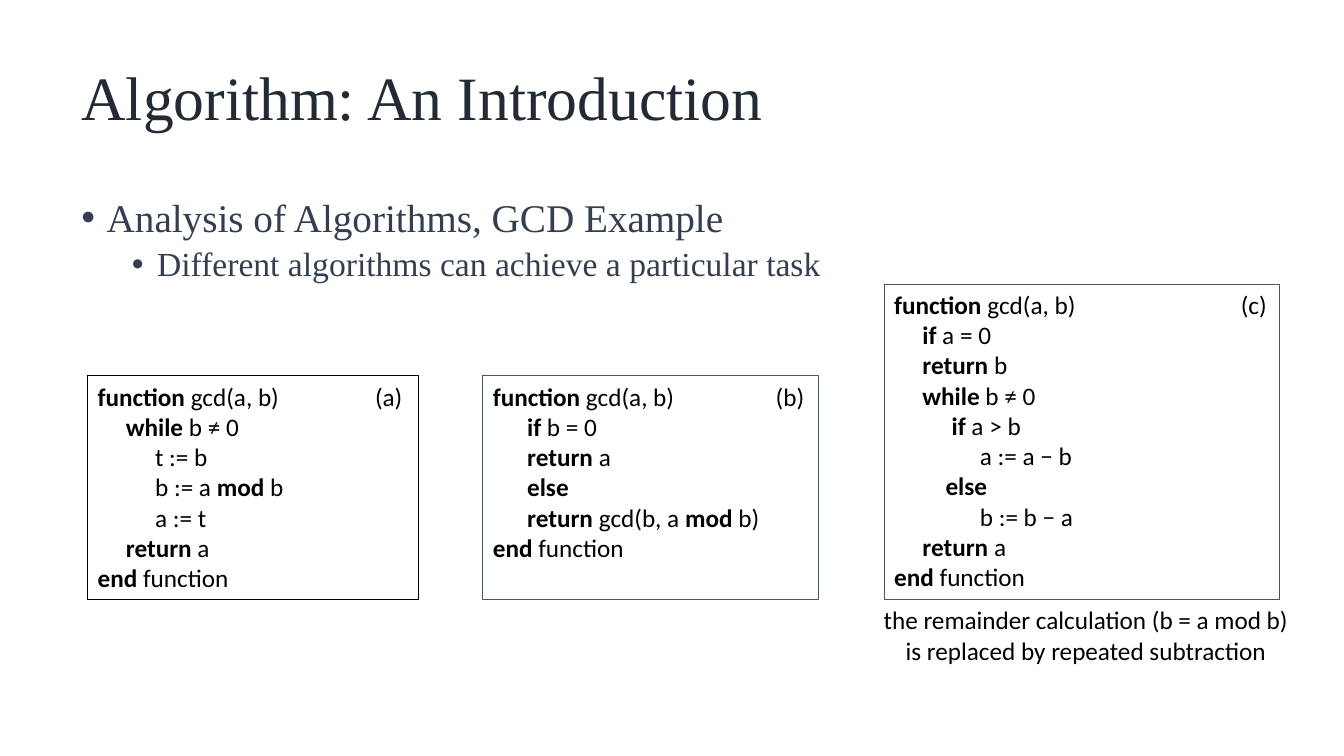
from dataclasses import dataclass

from lxml import etree
from pptx import Presentation
from pptx.dml.color import RGBColor
from pptx.enum.shapes import MSO_SHAPE
from pptx.enum.text import MSO_ANCHOR, PP_ALIGN
from pptx.oxml.ns import qn
from pptx.slide import Slide
from pptx.util import Pt

EMU_PER_PX = 9144
RECTANGLE = MSO_SHAPE.RECTANGLE
TOP, MIDDLE = MSO_ANCHOR.TOP, MSO_ANCHOR.MIDDLE
LEFT, CENTER = PP_ALIGN.LEFT, PP_ALIGN.CENTER

BLACK = RGBColor(0x00, 0x00, 0x00)
NAVY = RGBColor(0x22, 0x2A, 0x35)
SLATE = RGBColor(0x33, 0x3F, 0x50)
STEEL = RGBColor(0x44, 0x54, 0x6A)

MODULUS = [
    (0, "*function *gcd(a, b)"),
    (28, "*while* b ≠ 0"),
    (57, "t := b"),
    (57, "b := a *mod* b"),
    (57, "a := t"),
    (28, "*return* a"),
    (0, "*end* function"),
]
RECURSION = [
    (0, "*function *gcd(a, b)"),
    (34, "*if* b = 0"),
    (34, "*return* a"),
    (34, "*else*"),
    (34, "*return *gcd(b, a *mod* b)"),
    (0, "*end* function"),
]
SUBTRACTION = [
    (0, "*function *gcd(a, b)"),
    (28, "*if* a = 0"),
    (28, "*return* b"),
    (28, "*while* b ≠ 0"),
    (57, "*if* a > b"),
    (85, "a := a − b"),
    (51, "*else*"),
    (85, "b := b − a"),
    (28, "*return* a"),
    (0, "*end* function"),
]


def px(length):
    return length * EMU_PER_PX


def write(paragraph, text, size=18, font="Calibri", color=BLACK, align=LEFT,
          margin=0, bullet=None, spacing=1.0, before=0):
    paragraph.alignment = align
    paragraph.line_spacing = spacing
    paragraph.space_before = Pt(before)
    properties = paragraph._p.get_or_add_pPr()
    properties.set("marL", str(px(margin)))
    properties.set("indent", str(px(-25 if bullet else 0)))
    if bullet:
        etree.SubElement(properties, qn("a:buFont"), typeface="Arial")
        etree.SubElement(properties, qn("a:buChar"), char=bullet)
    for position, part in enumerate(text.split("*")):
        if part:
            run = paragraph.add_run()
            run.text = part
            run.font.size = Pt(size)
            run.font.name = font
            run.font.color.rgb = color
            run.font.bold = position % 2 == 1


@dataclass
class AlgorithmSlide:
    slide: Slide
    heading_font: str = "Times New Roman"
    outline_width: float = 0.75

    def fill_frame(self, frame, lines, anchor=TOP, **style):
        frame.word_wrap = True
        frame.vertical_anchor = anchor
        for number, (text, line_style) in enumerate(lines):
            paragraph = frame.add_paragraph() if number else frame.paragraphs[0]
            write(paragraph, text, **style, **line_style)

    def text(self, bounds, lines, **style):
        box = self.slide.shapes.add_textbox(*map(px, bounds))
        self.fill_frame(box.text_frame, lines, **style)

    def heading(self, bounds, lines, **style):
        self.text(bounds, lines, font=self.heading_font, spacing=0.9, **style)

    def caption(self, bounds, text):
        self.text(bounds, [(text, {})], align=CENTER)

    def code(self, bounds, code_lines, outline, label, label_left):
        box = self.slide.shapes.add_shape(RECTANGLE, *map(px, bounds))
        box.shadow.inherit = False
        box.fill.background()
        box.line.color.rgb = outline
        box.line.width = Pt(self.outline_width)
        lines = [(text, {"margin": margin}) for margin, text in code_lines]
        self.fill_frame(box.text_frame, lines)
        self.caption((label_left, bounds[1], 53, 40), label)


def main():
    deck = Presentation()
    deck.slide_width, deck.slide_height = px(1333), px(750)
    page = AlgorithmSlide(deck.slides.add_slide(deck.slide_layouts[6]))

    page.heading((71, 35, 1150, 129), [("Algorithm: An Introduction", {})],
                 anchor=MIDDLE, size=44, color=NAVY)
    page.heading((71, 192, 1150, 476), [
        ("Analysis of Algorithms, GCD Example",
         {"size": 28, "margin": 25, "before": 10}),
        ("Different algorithms can achieve a particular task",
         {"size": 24, "margin": 75, "before": 5}),
    ], color=SLATE, bullet="•")

    page.code((87, 373, 328, 222), MODULUS, BLACK, "(a)", 359)
    page.code((479, 373, 333, 222), RECURSION, STEEL, "(b)", 757)
    page.code((877, 282, 392, 313), SUBTRACTION, STEEL, "(c)", 1217)
    page.caption((865, 595, 424, 71),
                 "the remainder calculation (b = a mod b) is replaced by repeated subtraction")

    deck.save("out.pptx")


if __name__ == "__main__":
    main()
